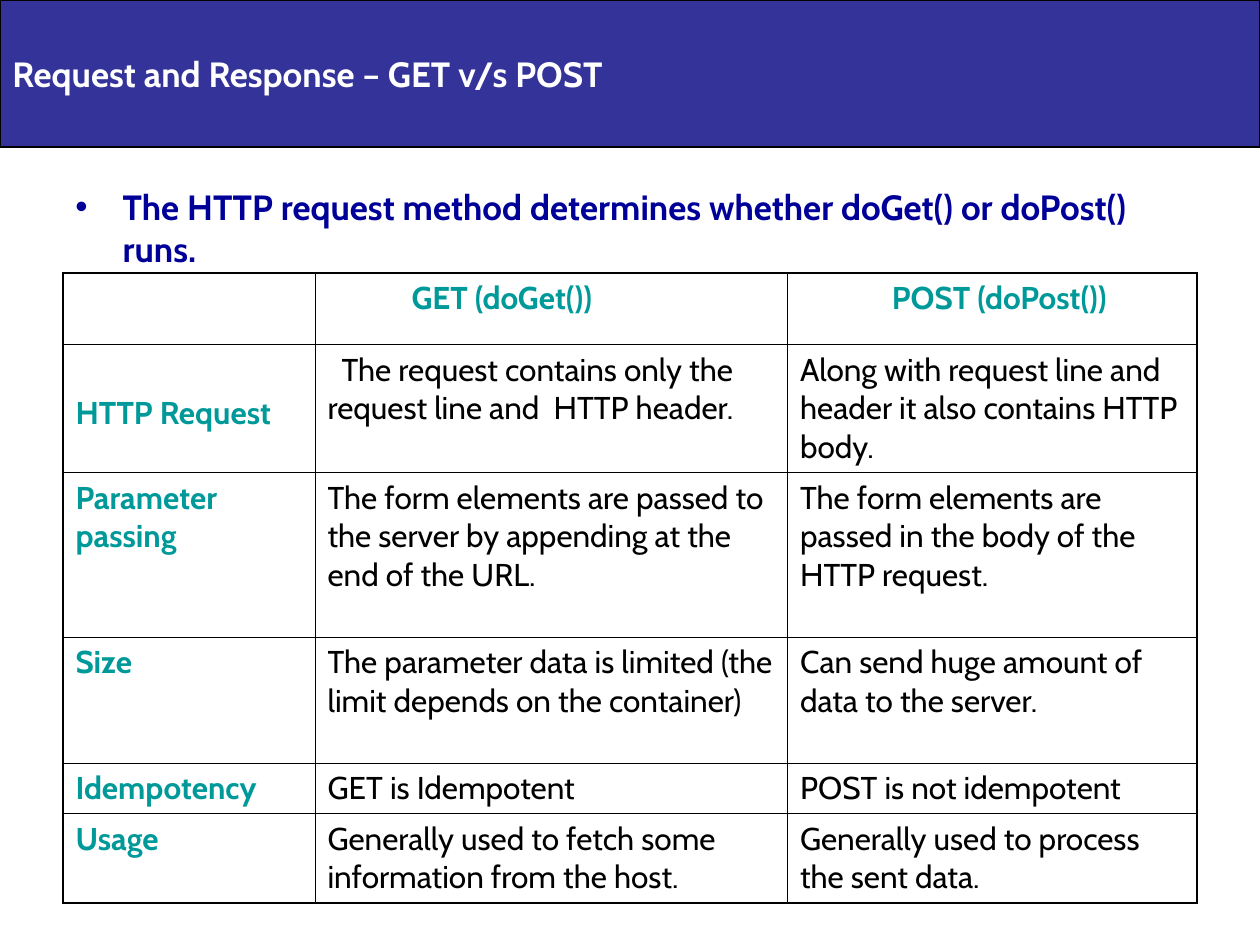
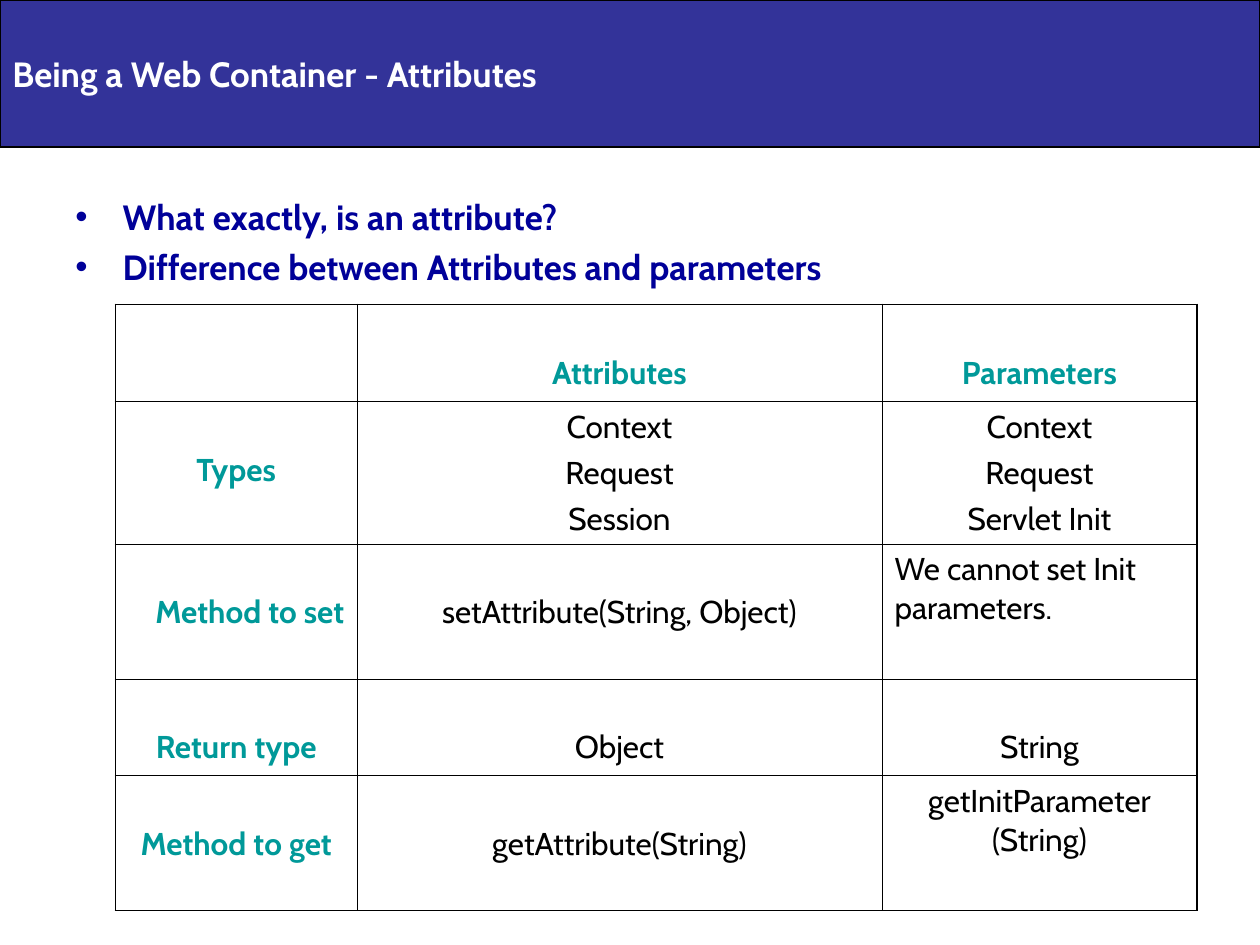
from lxml import etree
from pptx import Presentation
from pptx import util as u
from pptx.dml.color import RGBColor
from pptx.enum import shapes, text
from pptx.oxml import ns

Pt = u.Pt
COLORS = {"band": "333399", "line": "000000", "title": "FFFFFF",
          "bullet": "000099", "heading": "009999", "body": "000000"}
FONT = "Cabin"
PAGE_WIDTH, PAGE_HEIGHT = 720, 540
INSET_X, INSET_Y = 7.2, 3.6
OUTER_LINE, INNER_LINE = 1.08, 0.45
LINE_DROP = 24.6  # one text line down from the top of a cell
LEFT, CENTER, RIGHT = (text.PP_ALIGN.LEFT, text.PP_ALIGN.CENTER,
                       text.PP_ALIGN.RIGHT)


def rgb(name):
    return RGBColor.from_string(COLORS[name])


def apply(target, values):
    for name, value in values.items():
        setattr(target, name, value)


def add_xml(parent, tag, **attributes):
    return etree.SubElement(parent, ns.qn(tag), attributes)


def entry(words, align=LEFT, drop=0, indent=0):
    """Text of one table cell with its alignment and offsets in points."""
    return {"words": words, "align": align, "drop": drop, "indent": indent}


def centered(words):
    return entry(words, CENTER)


def lowered(words, align=CENTER):
    return entry(words, align, LINE_DROP)


class Deck:
    def __init__(self):
        self.presentation = Presentation()
        apply(self.presentation, {"slide_width": Pt(PAGE_WIDTH),
                                  "slide_height": Pt(PAGE_HEIGHT)})
        self.slide = None

    def new_slide(self):
        self.slide = self.presentation.slides.add_slide(
            self.presentation.slide_layouts[6])

    def set_text(self, frame, words, size, color, bold=True, align=LEFT,
                 space_before=0):
        frame.text = words
        frame.word_wrap = True
        for paragraph in frame.paragraphs:
            apply(paragraph, {"alignment": align,
                              "space_before": Pt(space_before)})
            for run in paragraph.runs:
                apply(run.font, {"name": FONT, "size": Pt(size), "bold": bold})
                run.font.color.rgb = rgb(color)

    def banner(self, title):
        band = self.slide.shapes.add_shape(
            shapes.MSO_SHAPE.RECTANGLE, 0, 0, Pt(PAGE_WIDTH), Pt(84))
        band.shadow.inherit = False
        band.fill.solid()
        band.fill.fore_color.rgb = rgb("band")
        band.line.color.rgb = rgb("line")
        band.line.width = Pt(0.75)
        band.text_frame.vertical_anchor = text.MSO_ANCHOR.MIDDLE
        self.set_text(band.text_frame, title, 20, "title")

    def bullets(self, top, points):
        box = self.slide.shapes.add_textbox(Pt(36), Pt(top), Pt(648), Pt(356.4))
        self.set_text(box.text_frame, "\n".join(points), 20, "bullet",
                      space_before=5)
        for paragraph in box.text_frame.paragraphs:
            properties = paragraph._p.get_or_add_pPr()
            properties.set("marL", str(Pt(27)))
            properties.set("indent", str(-Pt(27)))
            color = add_xml(properties, "a:buClr")
            add_xml(color, "a:srgbClr", val=COLORS["bullet"])
            add_xml(properties, "a:buFont", typeface="Arial")
            add_xml(properties, "a:buChar", char="•")

    def borders(self, cell, outer_sides):
        properties = cell._tc.get_or_add_tcPr()
        for side, is_outer in outer_sides.items():
            width = OUTER_LINE if is_outer else INNER_LINE
            line = add_xml(properties, f"a:ln{side}", w=str(Pt(width)))
            fill = add_xml(line, "a:solidFill")
            add_xml(fill, "a:srgbClr", val=COLORS["line"])

    def table(self, left, top, widths, heights, rows):
        grid = self.slide.shapes.add_table(
            len(heights), len(widths), Pt(left), Pt(top),
            Pt(sum(widths)), Pt(sum(heights))).table
        apply(grid, {"first_row": False, "horz_banding": False})
        for column, width in zip(grid.columns, widths):
            column.width = Pt(width)
        for row, height in zip(grid.rows, heights):
            row.height = Pt(height)
        last_row, last_column = len(heights) - 1, len(widths) - 1
        for r, row in enumerate(rows):
            for c, item in enumerate(row):
                cell = grid.cell(r, c)
                self.borders(cell, {"L": c == 0, "R": c == last_column,
                                    "T": r == 0, "B": r == last_row})
                cell.fill.background()
                self.fill_cell(cell, item, r == 0 or c == 0)

    def fill_cell(self, cell, item, is_heading):
        apply(cell, {"margin_left": Pt(INSET_X), "margin_right": Pt(INSET_X),
                     "margin_top": Pt(INSET_Y + item["drop"]),
                     "margin_bottom": Pt(INSET_Y)})
        self.set_text(cell.text_frame, item["words"], 18,
                      "heading" if is_heading else "body", is_heading,
                      item["align"], 4.5)
        if item["indent"]:
            first = cell.text_frame.paragraphs[0]._p.get_or_add_pPr()
            first.set("indent", str(Pt(item["indent"])))


def get_and_post(deck):
    deck.new_slide()
    deck.bullets(102.24, [
        "The HTTP request method determines whether doGet() or doPost() runs."])
    deck.table(36, 156, [144, 270, 234], [41, 73, 94, 72, 29, 51], [
        [entry(""), entry("GET (doGet())", indent=48),
         entry("POST (doPost())", indent=52.5)],
        [lowered("HTTP Request", LEFT),
         entry("The request contains only the request line and  HTTP header.",
               indent=8),
         entry("Along with request line and header it also contains HTTP body.")],
        [entry("Parameter passing"),
         entry("The form elements are passed to the server by appending "
               "at the end of the URL."),
         entry("The form elements are passed in the body of the HTTP request.")],
        [entry("Size"),
         entry("The parameter data is limited (the limit depends on "
               "the container)"),
         entry("Can send huge amount of data to the server.")],
        [entry("Idempotency"), entry("GET is Idempotent"),
         entry("POST is not idempotent")],
        [entry("Usage"),
         entry("Generally used to fetch some information from the host."),
         entry("Generally used to process the sent data.")],
    ])
    deck.banner("Request and Response – GET v/s POST")


def attributes(deck):
    deck.new_slide()
    deck.bullets(108, ["What exactly, is an attribute?",
                       "Difference between Attributes and parameters"])
    deck.table(66, 174, [138, 300, 180], [55.4, 81.6, 77, 55.4, 77], [
        [entry(""), lowered("Attributes"), lowered("Parameters")],
        [lowered("Types"), centered("Context\nRequest\nSession"),
         centered("Context\nRequest\nServlet Init")],
        [lowered("Method to set", RIGHT),
         lowered("setAttribute(String, Object)"),
         entry("We cannot set Init parameters.")],
        [lowered("Return type"), lowered("Object"), lowered("String")],
        [lowered("Method to get"), lowered("getAttribute(String)"),
         centered("getInitParameter (String)")],
    ])
    deck.banner("Being a Web Container - Attributes")


def main():
    deck = Deck()
    get_and_post(deck)
    attributes(deck)
    deck.presentation.save("out.pptx")


if __name__ == "__main__":
    main()
